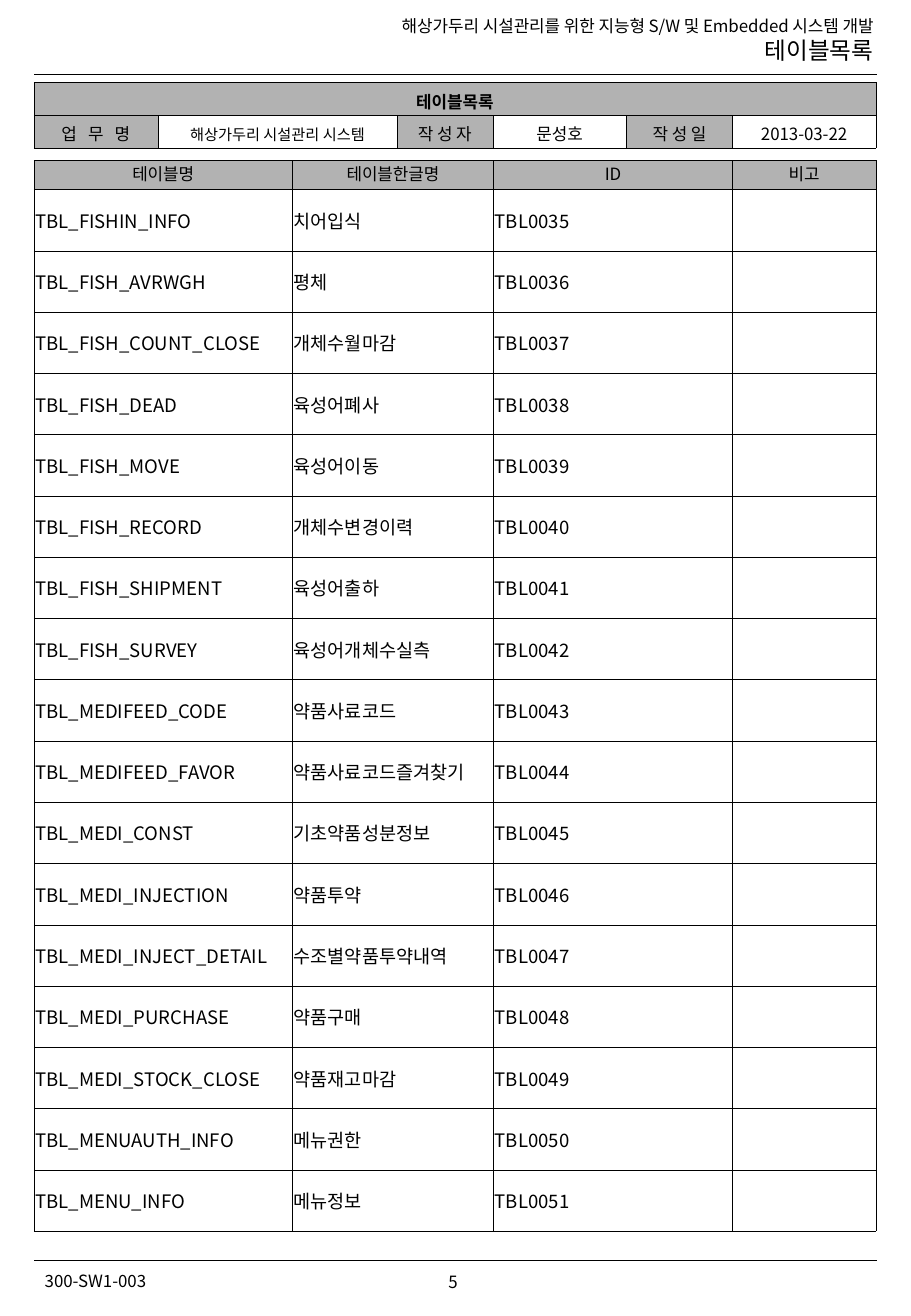
from lxml import etree
from pptx import Presentation
from pptx import util as u
from pptx.dml.color import RGBColor
from pptx.enum import shapes, text
from pptx.oxml.ns import qn

BLACK = RGBColor(0x00, 0x00, 0x00)
GREY = RGBColor(0xB2, 0xB2, 0xB2)
FONT = "Noto Sans CJK KR"
WIDTH, HEIGHT = 7.5, 10.84
LEFT, CONTENT = 0.28, 6.93
CENTER, RIGHT = text.PP_ALIGN.CENTER, text.PP_ALIGN.RIGHT
FIRST_ID = 35
TABLES = [
    ("TBL_FISHIN_INFO", "치어입식"),
    ("TBL_FISH_AVRWGH", "평체"),
    ("TBL_FISH_COUNT_CLOSE", "개체수월마감"),
    ("TBL_FISH_DEAD", "육성어폐사"),
    ("TBL_FISH_MOVE", "육성어이동"),
    ("TBL_FISH_RECORD", "개체수변경이력"),
    ("TBL_FISH_SHIPMENT", "육성어출하"),
    ("TBL_FISH_SURVEY", "육성어개체수실측"),
    ("TBL_MEDIFEED_CODE", "약품사료코드"),
    ("TBL_MEDIFEED_FAVOR", "약품사료코드즐겨찾기"),
    ("TBL_MEDI_CONST", "기초약품성분정보"),
    ("TBL_MEDI_INJECTION", "약품투약"),
    ("TBL_MEDI_INJECT_DETAIL", "수조별약품투약내역"),
    ("TBL_MEDI_PURCHASE", "약품구매"),
    ("TBL_MEDI_STOCK_CLOSE", "약품재고마감"),
    ("TBL_MENUAUTH_INFO", "메뉴권한"),
    ("TBL_MENU_INFO", "메뉴정보"),
]


def add_run(p, words, size, bold=False, spacing=0):
    r = p.add_run()
    r.text = words
    r.font.size = u.Pt(size)
    r.font.bold = bold
    r.font.name = FONT
    r.font.color.rgb = BLACK
    rPr = r._r.get_or_add_rPr()
    etree.SubElement(rPr, qn("a:ea")).set("typeface", FONT)
    if spacing:
        rPr.set("spc", str(int(spacing * 100)))


def set_margins(target, left, top, right, bottom):
    target.margin_left, target.margin_right = u.Inches(left), u.Inches(right)
    target.margin_top, target.margin_bottom = u.Inches(top), u.Inches(bottom)


def add_text(s, box, lines, align, wrap=False, margins=(0.1, 0.05, 0.1, 0.05),
             anchor=text.MSO_ANCHOR.TOP):
    tf = s.shapes.add_textbox(*map(u.Inches, box)).text_frame
    tf.word_wrap = wrap
    tf.vertical_anchor = anchor
    set_margins(tf, *margins)
    for i, (words, size) in enumerate(lines):
        p = tf.add_paragraph() if i else tf.paragraphs[0]
        p.alignment = align
        add_run(p, words, size)


def add_rule(s, x, y, w):
    line = s.shapes.add_connector(shapes.MSO_CONNECTOR.STRAIGHT, u.Inches(x),
                                  u.Inches(y), u.Inches(x + w), u.Inches(y))
    line.line.color.rgb = BLACK
    line.line.width = u.Pt(0.25)
    etree.SubElement(line._element.spPr, qn("a:effectLst"))


def add_grid(s, x, y, cols, rows):
    frame = s.shapes.add_table(len(rows), len(cols), u.Inches(x), u.Inches(y),
                               u.Inches(sum(cols)), u.Inches(sum(rows)))
    table = frame.table
    table.first_row = table.horz_banding = False
    for column, w in zip(table.columns, cols):
        column.width = u.Inches(w)
    for row, h in zip(table.rows, rows):
        row.height = u.Inches(h)
    return table


def style_cell(cell, margins, shaded=False):
    tcPr = cell._tc.get_or_add_tcPr()
    for side in ("a:lnL", "a:lnR", "a:lnT", "a:lnB"):
        ln = etree.SubElement(tcPr, qn(side), w=str(u.Pt(0.11)))
        fill = etree.SubElement(ln, qn("a:solidFill"))
        etree.SubElement(fill, qn("a:srgbClr"), val=str(BLACK))
    if shaded:
        cell.fill.solid()
        cell.fill.fore_color.rgb = GREY
    else:
        cell.fill.background()
    cell.vertical_anchor = text.MSO_ANCHOR.MIDDLE
    set_margins(cell, *margins)


def page_header(s, x, y, w):
    add_text(s, (x, y, w + 0.08, 0.5),
             [("해상가두리 시설관리를 위한 지능형 S/W 및 Embedded 시스템 개발", 10),
              ("테이블목록", 14)], RIGHT, wrap=True)
    add_rule(s, x, y + 0.53, w + 0.01)


def summary_table(s, x, y, w):
    cols = [w * share for share in (0.147, 0.284, 0.114, 0.159, 0.126, 0.17)]
    table = add_grid(s, x, y, cols, [0.27] * 2)
    margins = (0.1, 0.04, 0.1, 0.01)
    for cell in table.iter_cells():
        style_cell(cell, margins)
    title = table.cell(0, 0)
    title.merge(table.cell(0, len(cols) - 1))
    entries = [("업 무 명", 10, 2.2), ("해상가두리 시설관리 시스템", 9, 0),
               ("작 성 자", 10, 0), ("문성호", 10, 0),
               ("작 성 일", 10, 0), ("2013-03-22", 10, 0)]
    add_run(title.text_frame.paragraphs[0], "테이블목록", 10, bold=True)
    for c, (words, size, spacing) in enumerate(entries):
        p = table.cell(1, c).text_frame.paragraphs[0]
        p.alignment = CENTER
        add_run(p, words, size, spacing=spacing)
    title.text_frame.paragraphs[0].alignment = CENTER
    for cell in [title] + [table.cell(1, c) for c in (0, 2, 4)]:
        cell.fill.solid()
        cell.fill.fore_color.rgb = GREY


def list_table(s, x, y, w):
    cols = [w * share for share in (0.307, 0.239, 0.284, 0.17)]
    table = add_grid(s, x, y, cols, [0.24] + [0.505] * len(TABLES))
    for c, words in enumerate(("테이블명", "테이블한글명", "ID", "비고")):
        cell = table.cell(0, c)
        style_cell(cell, (0.02, 0.02, 0.02, 0.02), shaded=True)
        p = cell.text_frame.paragraphs[0]
        p.alignment = CENTER
        p.line_spacing = 0.8
        add_run(p, words, 10)
    for i, (name, korean) in enumerate(TABLES):
        for c, words in enumerate((name, korean, f"TBL{FIRST_ID + i:04d}", "")):
            cell = table.cell(i + 1, c)
            style_cell(cell, (0.01, 0.05, 0.01, 0.05))
            if words:
                add_run(cell.text_frame.paragraphs[0], words, 11)


def page_footer(s, x, y, w):
    add_rule(s, x, y, w + 0.01)
    add_text(s, (x - 0.02, y + 0.04, 1.05, 0.27), [("300-SW1-003", 10)], CENTER)
    add_text(s, (WIDTH / 2 - 0.43, y - 0.04, 0.82, 0.44), [("5", 10)], CENTER,
             margins=(0, 0, 0, 0), anchor=text.MSO_ANCHOR.MIDDLE)


def main():
    prs = Presentation()
    prs.slide_width, prs.slide_height = u.Inches(WIDTH), u.Inches(HEIGHT)
    s = prs.slides.add_slide(prs.slide_layouts[6])
    page_header(s, LEFT, 0.08, CONTENT)
    summary_table(s, LEFT, 0.68, CONTENT)
    list_table(s, LEFT, 1.32, CONTENT)
    page_footer(s, LEFT, 10.38, CONTENT)
    prs.save("out.pptx")


if __name__ == "__main__":
    main()
